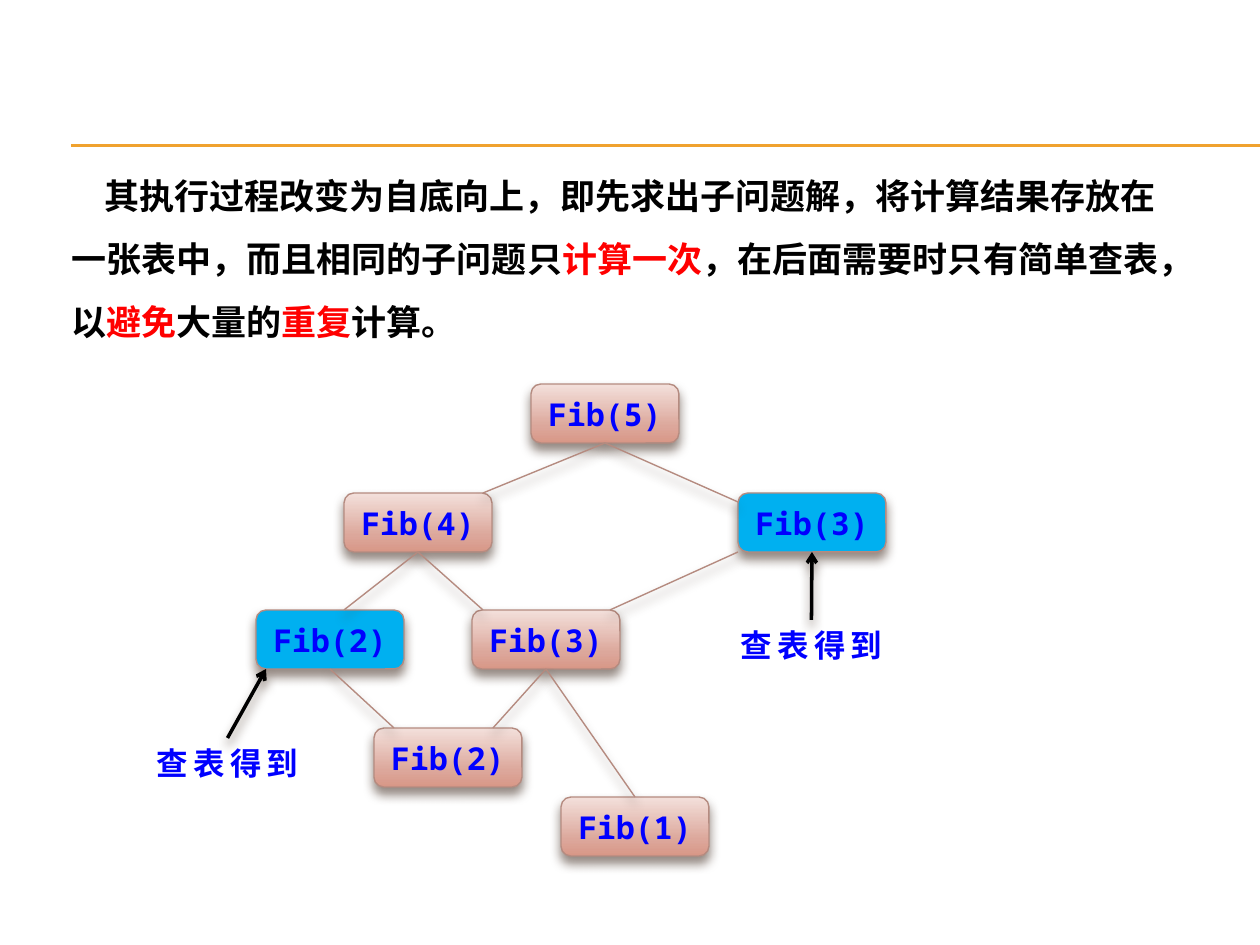
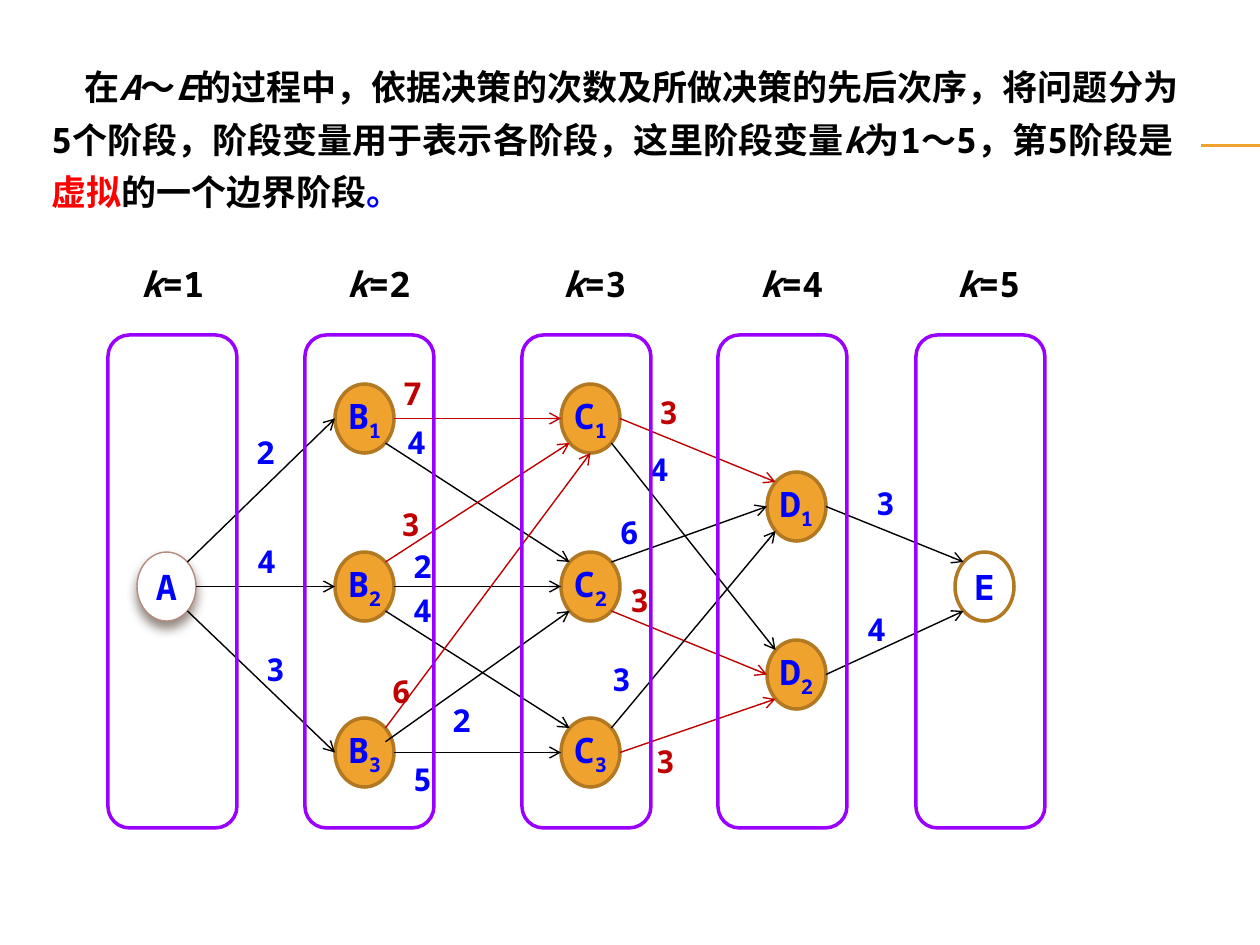
from lxml import etree
from pptx import Presentation
from pptx.dml.color import RGBColor
from pptx.enum.shapes import MSO_CONNECTOR, MSO_SHAPE
from pptx.enum.text import MSO_ANCHOR, PP_ALIGN
from pptx.oxml import parse_xml
from pptx.oxml.ns import nsdecls, qn
from pptx.util import Pt

ROUND, OVAL = MSO_SHAPE.ROUNDED_RECTANGLE, MSO_SHAPE.OVAL
STRAIGHT = MSO_CONNECTOR.STRAIGHT
CENTER, MIDDLE = PP_ALIGN.CENTER, MSO_ANCHOR.MIDDLE

MONO, HAN = "Noto Sans Mono", "Noto Sans CJK SC"
BLACK, WHITE, BLUE, RED = "000000", "FFFFFF", "0000FF", "FF0000"
GOLD, BROWN, ROSE, SHADE = "F0A22E", "B27822", "B58B80", "4E3B30"
SKY, VIOLET, DARK = "00B0F0", "9900FF", "C00000"
BLEND = [(0, "F3E0DB"), (72, "DCA79B"), (100, "D89787")]
THIN, THICK = 0.79, 2
INDENT = 33

# Shared rules: start and end of each
RULES = [(71, 145, 1260, 145), (71, 146, 1260, 146)]

# Slide 1: call tree
TABLE_TEXT = [
    ("其执行过程改变为自底向上，即先求出子问题解，将计算结果存放在一张表中，"
     "而且相同的子问题只", BLACK),
    ("计算一次", RED), ("，在后面需要时只有简单查表，以", BLACK),
    ("避免", RED), ("大量的", BLACK), ("重复", RED), ("计算。", BLACK)]
CALL_W, CALL_H = 148, 59
CALLS = {  # key: text, left, top, fill
    "f5": ("Fib(5)", 531, 384, BLEND),
    "f4": ("Fib(4)", 344, 493, BLEND),
    "f3": ("Fib(3)", 472, 610, BLEND),
    "look2": ("Fib(2)", 256, 610, SKY),
    "f2": ("Fib(2)", 374, 728, BLEND),
    "f1": ("Fib(1)", 561, 797, BLEND),
    "look3": ("Fib(3)", 738, 493, SKY)}
BRANCHES = [  # caller, share of its lower edge, end
    ("f5", 0.5, 483, 493), ("f5", 0.5, 738, 502),
    ("f4", 0.5, 344, 610), ("f4", 0.5, 483, 610),
    ("look3", 0, 610, 610), ("look2", 0.5, 394, 728),
    ("f3", 0.5, 493, 728), ("f3", 0.5, 635, 797)]
NOTE, NOTE_W, NOTE_H = "查表得到", 197, 50
NOTES = [(713, 620, 812, 552), (129, 738, 266, 669)]  # place, arrow tip

# Slide 2: stage graph
STAGE_TEXT = [
    ("在", BLACK), ("A", BLACK, True), ("～", BLACK), ("E", BLACK, True),
    ("的过程中，依据决策的次数及所做决策的先后次序，将问题分为5个阶段，"
     "阶段变量用于表示各阶段，这里阶段变量", BLACK),
    ("k", BLACK, True), ("为1～5，第5阶段是", BLACK), ("虚拟", RED),
    ("的一个边界阶段", BLACK), ("。", BLUE)]
STAGES = [(108, 129), (305, 335), (522, 551), (718, 748), (916, 945)]
NODE_W, NODE_H = 59, 69
COLUMNS = {"A": (137, [552]), "B": (335, [384, 552, 718]),
           "C": (561, [384, 552, 718]), "D": (767, [472, 640]),
           "E": (955, [552])}
SITES = {"e": (1, 0), "w": (-1, 0), "s": (0, 1), "ne": (.71, -.71),
         "se": (.71, .71), "nw": (-.71, -.71), "sw": (-.71, .71),
         "inner": (.71, -.31)}
EDGES = [  # from, site, to, site, colour, cost, cost place
    ("A1", "ne", "B1", "w", BLACK, 2, 256, 433),
    ("A1", "e", "B2", "w", BLACK, 4, 257, 542),
    ("A1", "se", "B3", "w", BLACK, 3, 266, 650),
    ("B1", "e", "C1", "w", DARK, 7, 403, 374),
    ("B1", "se", "C2", "nw", BLACK, 4, 407, 423),
    ("B2", "ne", "C1", "sw", DARK, 3, 401, 505),
    ("B2", "e", "C2", "w", BLACK, 2, 413, 547),
    ("B2", "se", "C3", "nw", BLACK, 4, 413, 591),
    ("B3", "ne", "C1", "s", DARK, 6, 392, 672),
    ("B3", "inner", "C2", "sw", BLACK, 2, 452, 701),
    ("B3", "e", "C3", "w", BLACK, 5, 413, 760),
    ("C1", "e", "D1", "nw", DARK, 3, 659, 393),
    ("C1", "se", "D2", "nw", BLACK, 4, 650, 450),
    ("C2", "ne", "D1", "w", BLACK, 6, 620, 513),
    ("C2", "se", "D2", "w", DARK, 3, 630, 581),
    ("C3", "ne", "D1", "sw", BLACK, 3, 612, 660),
    ("C3", "e", "D2", "sw", DARK, 3, 656, 742),
    ("D1", "e", "E1", "nw", BLACK, 3, 876, 484),
    ("D2", "e", "E1", "sw", BLACK, 4, 867, 610)]


def px(*sizes):
    return [round(size * 914400 / 126) for size in sizes]


def tint(color, value):
    color.rgb = RGBColor.from_string(value)


def blend(shape, stops):
    shape.fill.background()
    marks = "".join(f'<a:gs pos="{at * 1000}"><a:srgbClr val="{value}"/></a:gs>'
                    for at, value in stops)
    old = shape.element.spPr.find(qn("a:noFill"))
    old.getparent().replace(old, parse_xml(
        f'<a:gradFill {nsdecls("a")} rotWithShape="1"><a:gsLst>{marks}</a:gsLst>'
        '<a:lin ang="5400000" scaled="0"/></a:gradFill>'))


def paint(shape, fill):
    if fill is None:
        shape.fill.background()
    elif isinstance(fill, list):
        blend(shape, fill)
    else:
        shape.fill.solid()
        tint(shape.fill.fore_color, fill)


def stroke(item, color, width, cast):
    """Set the line, then the shadow, of a shape or connector."""
    tint(item.line.color, color)
    item.line.width = Pt(width)
    glow = etree.SubElement(item.element.spPr, qn("a:effectLst"))
    if cast:
        glow.append(parse_xml(
            f'<a:outerShdw {nsdecls("a")} blurRad="76200" dist="50800" '
            'dir="5400000" algn="ctr" rotWithShape="0">'
            f'<a:srgbClr val="{SHADE}"><a:alpha val="60000"/></a:srgbClr>'
            '</a:outerShdw>'))


def join(slide, start, end, color, width=THIN, cast=False, arrow=False):
    line = slide.shapes.add_connector(STRAIGHT, *px(*start, *end))
    stroke(line, color, width, cast)
    if arrow:
        edge = line.line._get_or_add_ln()
        etree.SubElement(edge, qn("a:tailEnd"), type="arrow")
    return line


def block(shapes, kind, place, fill, color, width, cast=False):
    shape = shapes.add_shape(kind, *px(*place))
    paint(shape, fill)
    stroke(shape, color, width, cast)
    return shape


def write(para, text, color, italic=False, size=20, face=MONO, **marks):
    run = para.add_run()
    run.text = text
    looks = {"size": Pt(size), "bold": True, "italic": italic, "name": face}
    for name, value in looks.items():
        setattr(run.font, name, value)
    tint(run.font.color, color)
    props = run.font._element
    etree.SubElement(props, qn("a:ea"), typeface=HAN)
    for name, value in marks.items():
        props.set(name, str(value))


def frame(shape, **looks):
    """Format the text frame and give back its first paragraph."""
    for name, value in {"word_wrap": True, **looks}.items():
        setattr(shape.text_frame, name, value)
    return shape.text_frame.paragraphs[0]


def prose(slide, place, runs, spacing, fill=None):
    box = slide.shapes.add_textbox(*px(*place))
    paint(box, fill)
    para = frame(box)
    para.line_spacing = spacing
    para._p.get_or_add_pPr().set("indent", str(px(INDENT)[0]))
    for run in runs:
        write(para, *run)


def draw_tree(slide):
    prose(slide, (59, 147, 1123, 204), TABLE_TEXT, 1.5)
    for text, left, top, fill in CALLS.values():
        box = block(slide.shapes, ROUND, (left, top, CALL_W, CALL_H),
                    fill, ROSE, THIN, True)
        para = frame(box, vertical_anchor=MIDDLE)
        para.alignment = CENTER
        write(para, text, BLUE, size=18)
    for key, share, *end in BRANCHES:
        left, top = CALLS[key][1:3]
        join(slide, (left + CALL_W * share, top + CALL_H), end, ROSE, cast=True)
    for left, top, *tip in NOTES:
        para = frame(slide.shapes.add_textbox(*px(left, top, NOTE_W, NOTE_H)))
        para.alignment = CENTER
        write(para, NOTE, BLUE, size=18, face=HAN, spc=300)
        join(slide, (left + NOTE_W / 2, top), tip, BLACK, THICK, True, True)


def draw_nodes(slide):
    """Draw the graph's nodes and give back their places by name."""
    places = {}
    for letter, (left, tops) in COLUMNS.items():
        for count, top in enumerate(tops, 1):
            first = letter == "A"
            fill = {"A": WHITE, "E": None}.get(letter, GOLD)
            look = (ROSE, THIN, True) if first else (BROWN, THICK)
            oval = block(slide.shapes, OVAL, (left, top, NODE_W, NODE_H),
                         fill, *look)
            para = frame(oval, vertical_anchor=MIDDLE,
                         margin_left=0, margin_right=0)
            para.alignment = CENTER
            write(para, letter, BLUE)
            if len(tops) > 1:
                write(para, str(count), BLUE, baseline=-25000)
            places[f"{letter}{count}"] = left, top
    return places


def draw_graph(slide):
    places = draw_nodes(slide)

    def spot(name, site):
        left, top = places[name]
        across, down = SITES[site]
        return (left + NODE_W * (1 + across) / 2,
                top + NODE_H * (1 + down) / 2)

    for start, leave, end, enter, color, cost, left, top in EDGES:
        join(slide, spot(start, leave), spot(end, enter), color, arrow=True)
        para = frame(slide.shapes.add_textbox(*px(left, top, 29, 38)),
                     margin_left=0, margin_right=0,
                     margin_top=0, margin_bottom=0)
        write(para, str(cost), DARK if color == DARK else BLUE, size=18)
    prose(slide, (39, 49, 1162, 171), STAGE_TEXT, Pt(30), WHITE)
    for stage, (left, label) in enumerate(STAGES, 1):
        group = slide.shapes.add_group_shape().shapes
        block(group, ROUND, (left, 335, 129, 493), None, VIOLET, THICK)
        para = frame(group.add_textbox(*px(label, 256, 88, 55)))
        write(para, "k", BLACK, True)
        write(para, f"={stage}", BLACK)


def main():
    deck = Presentation()
    deck.slide_width, deck.slide_height = px(1260, 945)
    blank = deck.slide_layouts[6]
    tree, graph = [deck.slides.add_slide(blank) for _ in range(2)]
    for left, top, right, bottom in RULES:
        rule = join(tree, (left, top), (right, bottom), GOLD, 0.75)
        deck.slide_master.shapes.element.append(rule.element)
    draw_tree(tree)
    draw_graph(graph)
    deck.save("out.pptx")


if __name__ == "__main__":
    main()
